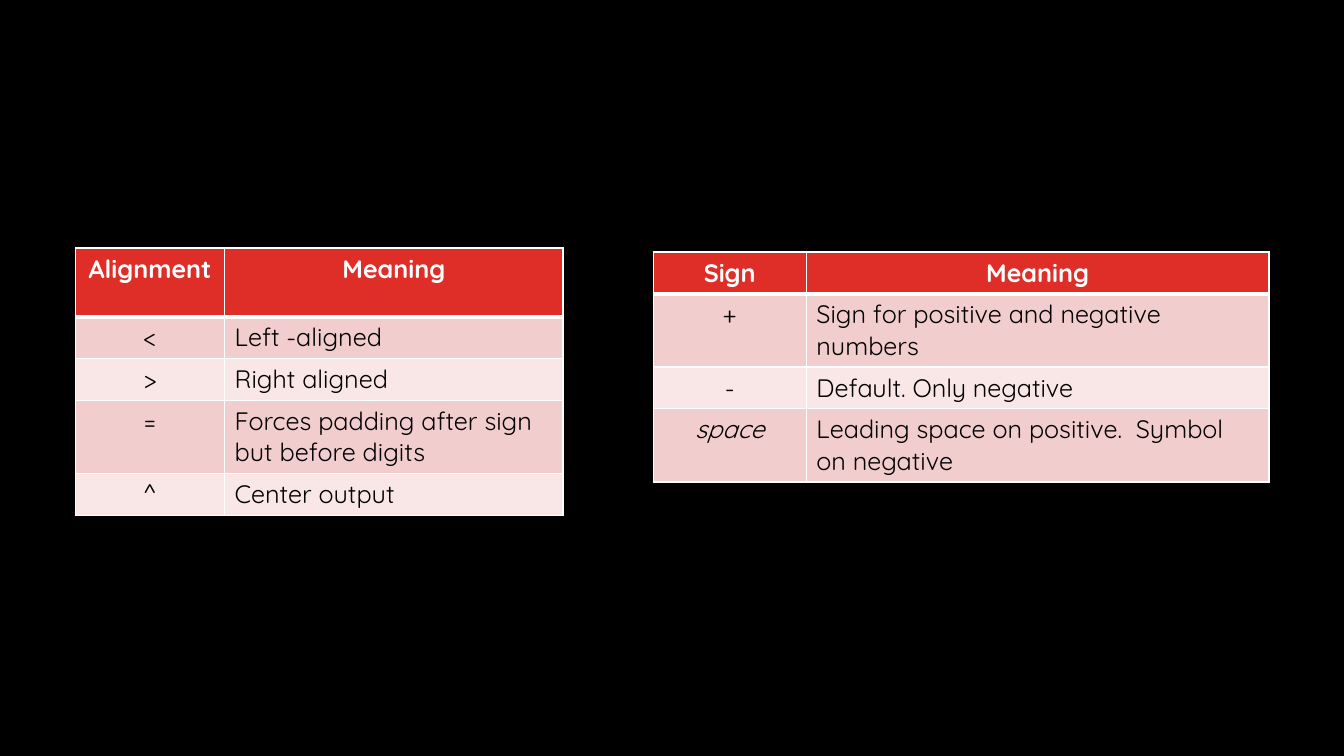
import pptx
import pptx.dml.color
import pptx.enum.text
import pptx.oxml
import pptx.oxml.ns
import pptx.util

Cm = pptx.util.Cm
Pt = pptx.util.Pt


class Theme:
    background = "000000"
    header = "DF2E28"
    bands = ("F2CDCD", "F9E7E7")
    light = "FFFFFF"
    dark = "000000"
    font = "Quicksand"
    size = 18
    thin = 0.96
    thick = 3


def write_text(cell, text, color=Theme.dark, bold=False, italic=False, centered=False):
    para = cell.text_frame.paragraphs[0]
    if centered:
        para.alignment = pptx.enum.text.PP_ALIGN.CENTER
    span = para.add_run()
    span.text = text
    span.font.name = Theme.font
    span.font.size = Pt(Theme.size)
    span.font.bold = bold
    span.font.italic = italic
    span.font.color.rgb = pptx.dml.color.RGBColor.from_string(color)


def add_borders(cell, **widths):
    properties = cell._tc.get_or_add_tcPr()
    for side in "LRTB":
        width = Pt(widths.get(side, Theme.thin))
        properties.append(pptx.oxml.parse_xml(
            f'<a:ln{side} {pptx.oxml.ns.nsdecls("a")} w="{width}"><a:solidFill>'
            f'<a:srgbClr val="{Theme.light}"/></a:solidFill></a:ln{side}>'))


deck = pptx.Presentation()
deck.slide_width = Cm(33.87)
deck.slide_height = Cm(19.05)
page = deck.slides.add_slide(deck.slide_layouts[6])
page.background.fill.solid()
page.background.fill.fore_color.rgb = pptx.dml.color.RGBColor.from_string(Theme.background)

alignment_rows = [
    ("Alignment", "Meaning"),
    ("<", "Left -aligned"),
    (">", "Right aligned"),
    ("=", "Forces padding after sign but before digits"),
    ("^", "Center output"),
]
sign_rows = [
    ("Sign", "Meaning"),
    ("+", "Sign for positive and negative numbers"),
    ("-", "Default. Only negative"),
    ("space", "Leading space on positive.  Symbol on negative"),
]
tables = [
    (alignment_rows, 1.9, 6.25, (3.76, 8.53), (1.73, 1.04, 1.04, 1.73, 1.04)),
    (sign_rows, 16.46, 6.35, (3.86, 11.66), (1.04,) * 4),
]

for rows, left, top, widths, heights in tables:
    table = page.shapes.add_table(
        len(rows), len(widths), Cm(left), Cm(top), Cm(sum(widths)), Cm(sum(heights))).table
    for column, width in zip(table.columns, widths):
        column.width = Cm(width)
    for row_index, (texts, height) in enumerate(zip(rows, heights)):
        table.rows[row_index].height = Cm(height)
        is_header = row_index == 0
        fill = Theme.header if is_header else Theme.bands[(row_index - 1) % 2]
        for column_index, text in enumerate(texts):
            cell = table.cell(row_index, column_index)
            add_borders(cell,
                        T=Theme.thick if row_index == 1 else Theme.thin,
                        B=Theme.thick if is_header else Theme.thin)
            cell.fill.solid()
            cell.fill.fore_color.rgb = pptx.dml.color.RGBColor.from_string(fill)
            write_text(cell, text,
                       color=Theme.light if is_header else Theme.dark,
                       bold=is_header,
                       italic=text == "space",
                       centered=is_header or column_index == 0)

deck.save("out.pptx")
